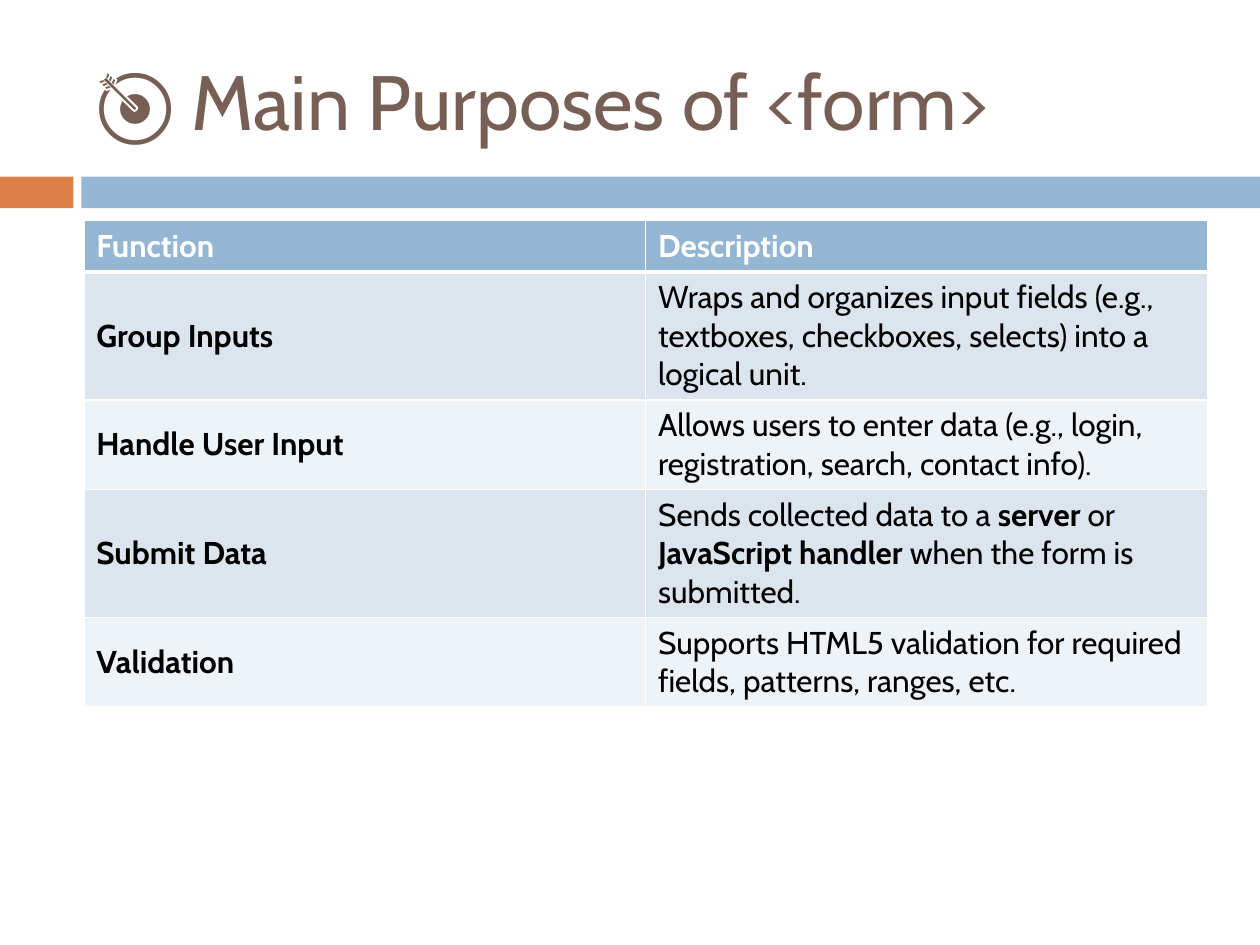
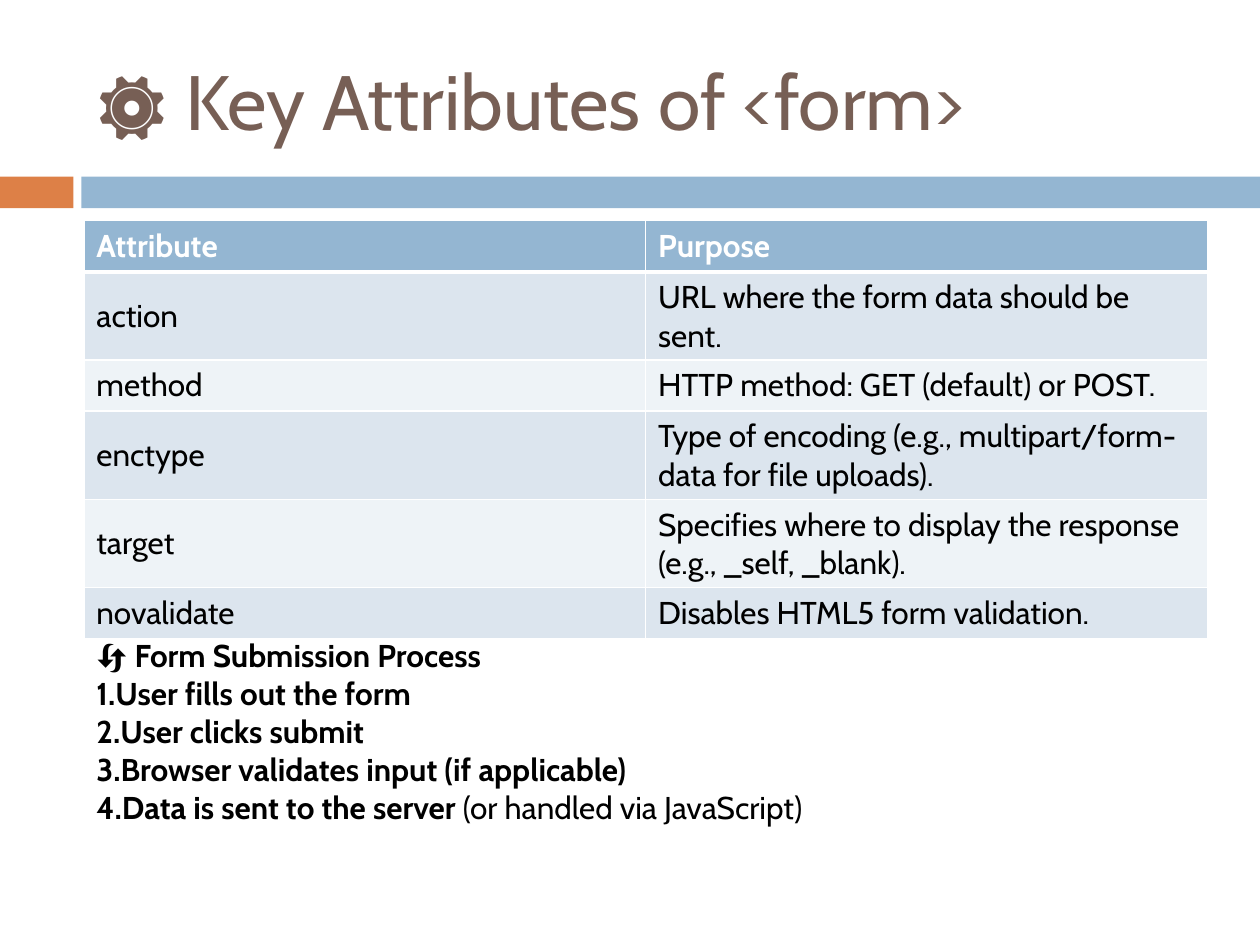
from typing import NamedTuple

from lxml import etree
from pptx import Presentation
from pptx.dml.color import RGBColor
from pptx.enum import shapes, text
from pptx.oxml import ns
from pptx.util import Cm, Pt

# Shared look
FONT = "Cabin"
WHITE, BLACK = "FFFFFF", "000000"
BROWN, ORANGE, BLUE = "775F55", "DD8047", "94B6D2"
ROW_TINTS = ("DCE5EE", "EEF3F7")
TITLE_SIZE, TEXT_SIZE = 44, 18
LEFT, CONTENT_WIDTH = Cm(1.69), Cm(22.65)
TABLE_TOP, ROW_HEIGHT = Cm(4.45), Cm(1.03)
THIN, THICK = 1, 3
TITLE_AND_CONTENT, TITLE_ONLY = 1, 5


class Run(NamedTuple):
    words: str
    bold: bool = False


class Band(NamedTuple):
    left: float
    width: float
    color: str


Line = tuple[Run, ...]


class TableText(NamedTuple):
    header: tuple[str, str]
    rows: list[tuple[Line, Line]]


BANDS = (Band(0, 1.48, ORANGE), Band(1.64, 23.76, BLUE))


def plain(words: str) -> Line:
    return (Run(words),)


def strong(words: str) -> Line:
    return (Run(words, True),)


# Slide content
PURPOSES = TableText(("Function", "Description"), [
    (strong("Group Inputs"),
     plain("Wraps and organizes input fields (e.g., textboxes, checkboxes, selects) "
           "into a logical unit.")),
    (strong("Handle User Input"),
     plain("Allows users to enter data (e.g., login, registration, search, contact info).")),
    (strong("Submit Data"),
     (Run("Sends collected data to a "), Run("server", True), Run(" or "),
      Run("JavaScript handler", True), Run(" when the form is submitted."))),
    (strong("Validation"),
     plain("Supports HTML5 validation for required fields, patterns, ranges, etc.")),
])

ATTRIBUTES = TableText(("Attribute", "Purpose"), [
    (plain("action"), plain("URL where the form data should be sent.")),
    (plain("method"), plain("HTTP method: GET (default) or POST.")),
    (plain("enctype"),
     plain("Type of encoding (e.g., multipart/form-data for file uploads).")),
    (plain("target"),
     plain("Specifies where to display the response (e.g., _self, _blank).")),
    (plain("novalidate"), plain("Disables HTML5 form validation.")),
])

PROCESS_HEADING = strong("🔄 Form Submission Process")
PROCESS_STEPS = [
    strong("User fills out the form"),
    strong("User clicks submit"),
    strong("Browser validates input (if applicable)"),
    (Run("Data is sent to the server", True), Run(" (or handled via JavaScript)")),
]


def rgb(color: str) -> RGBColor:
    return RGBColor.from_string(color)


def write(paragraph, line: Line, color: str, size: int = TEXT_SIZE) -> None:
    for words, bold in line:
        run = paragraph.add_run()
        run.text = words
        font = run.font
        font.name, font.size, font.bold = FONT, Pt(size), bold
        font.color.rgb = rgb(color)


def place(shape, left: int, top: int, width: int, height: int) -> None:
    shape.left, shape.top, shape.width, shape.height = left, top, width, height


# Title and bands on every slide
def start_slide(deck, layout: int, heading: str):
    slide = deck.slides.add_slide(deck.slide_layouts[layout])
    for band in BANDS:
        bar = slide.shapes.add_shape(shapes.MSO_SHAPE.RECTANGLE, Cm(band.left), Cm(3.56),
                                     Cm(band.width), Cm(0.64))
        bar.shadow.inherit = False
        bar.fill.solid()
        bar.fill.fore_color.rgb = rgb(band.color)
        bar.line.fill.background()
    title = slide.shapes.title
    place(title, LEFT, Cm(0.64), CONTENT_WIDTH, Cm(2.74))
    frame = title.text_frame
    frame.auto_size = text.MSO_AUTO_SIZE.NONE
    frame.vertical_anchor = text.MSO_ANCHOR.MIDDLE
    frame.paragraphs[0].alignment = text.PP_ALIGN.LEFT
    write(frame.paragraphs[0], plain(heading), BROWN, TITLE_SIZE)
    return slide


# Tables
def add_borders(cell, top: int, bottom: int) -> None:
    properties = cell._tc.get_or_add_tcPr()
    for side, width in (("L", THIN), ("R", THIN), ("T", top), ("B", bottom)):
        edge = etree.SubElement(properties, ns.qn(f"a:ln{side}"), w=str(Pt(width)))
        fill = etree.SubElement(edge, ns.qn("a:solidFill"))
        etree.SubElement(fill, ns.qn("a:srgbClr"), val=WHITE)


def add_table(slide, content: TableText) -> None:
    lines = [tuple(strong(label) for label in content.header), *content.rows]
    table = slide.shapes.add_table(len(lines), 2, LEFT, TABLE_TOP, CONTENT_WIDTH,
                                   ROW_HEIGHT * len(lines)).table
    for index, line in enumerate(lines):
        table.rows[index].height = ROW_HEIGHT
        is_header = index == 0
        for cell, words in zip(table.rows[index].cells, line):
            add_borders(cell, THICK if index == 1 else THIN, THICK if is_header else THIN)
            cell.fill.solid()
            cell.fill.fore_color.rgb = rgb(BLUE if is_header else ROW_TINTS[(index - 1) % 2])
            cell.vertical_anchor = text.MSO_ANCHOR.MIDDLE
            write(cell.text_frame.paragraphs[0], words, WHITE if is_header else BLACK)


# Numbered process list
def add_process(slide) -> None:
    process = slide.placeholders[1]
    place(process, LEFT, Cm(12.7), Cm(22.86), Cm(4.11))
    frame = process.text_frame
    frame.auto_size = text.MSO_AUTO_SIZE.SHAPE_TO_FIT_TEXT
    for index, line in enumerate([PROCESS_HEADING, *PROCESS_STEPS]):
        paragraph = frame.add_paragraph() if index else frame.paragraphs[0]
        paragraph.space_before = Pt(0)
        properties = paragraph._p.get_or_add_pPr()
        properties.set("marL", "0")
        properties.set("indent", "0")
        if index:
            etree.SubElement(properties, ns.qn("a:buFont"), typeface=FONT)
            etree.SubElement(properties, ns.qn("a:buAutoNum"), type="arabicPeriod")
        else:
            etree.SubElement(properties, ns.qn("a:buNone"))
        write(paragraph, line, BLACK)


def main() -> None:
    deck = Presentation()
    deck.slide_width, deck.slide_height = Cm(25.4), Cm(19.05)

    purposes = start_slide(deck, TITLE_ONLY, "🎯 Main Purposes of <form>")
    add_table(purposes, PURPOSES)

    attributes = start_slide(deck, TITLE_AND_CONTENT, "⚙️ Key Attributes of <form>")
    add_table(attributes, ATTRIBUTES)
    add_process(attributes)

    deck.save("out.pptx")


if __name__ == "__main__":
    main()
